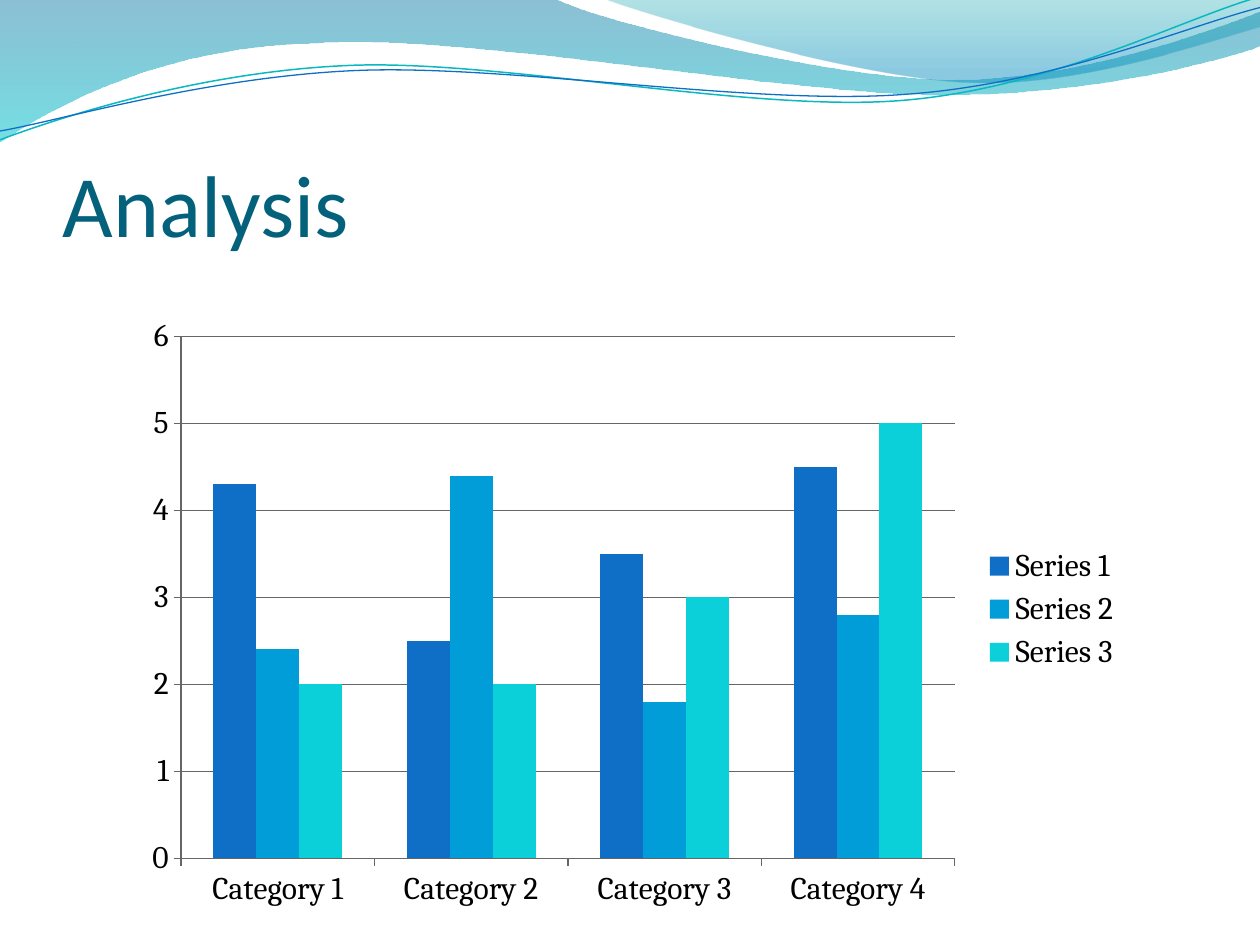
"""Build the Analysis slide: wave header, title and clustered column chart."""
from lxml import etree
from pptx import Presentation
from pptx.chart.data import CategoryChartData
from pptx.dml.color import RGBColor
from pptx.enum.chart import XL_CHART_TYPE, XL_LEGEND_POSITION, XL_TICK_MARK
from pptx.enum.text import MSO_ANCHOR
from pptx.oxml import parse_xml
from pptx.oxml.ns import nsdecls, qn
from pptx.util import Inches, Pt

COLUMN = XL_CHART_TYPE.COLUMN_CLUSTERED
RIGHT = XL_LEGEND_POSITION.RIGHT
OUTSIDE = XL_TICK_MARK.OUTSIDE
BOTTOM = MSO_ANCHOR.BOTTOM

TITLE = "Analysis"
CATS = [f"Category {n}" for n in range(1, 5)]
SERIES = [
    ("Series 1", (4.3, 2.5, 3.5, 4.5), "0F6FC6"),
    ("Series 2", (2.4, 4.4, 1.8, 2.8), "009DD9"),
    ("Series 3", (2, 2, 3, 5), "0BD0D9"),
]
PLOT = {"x": 0.064, "y": 0.094, "w": 0.76, "h": 0.777}

BANDS = [
    ([(0, 0), (4.4, -0.01), (4.76, 0.17, 6.64, 0.63, 7.58, 0.63),
      (8.53, 0.63, 9.58, 0.26, 10, 0.09), (10.01, 0.36),
      (9.83, 0.44, 8.7, 0.76, 7.46, 0.75), (6.22, 0.75, 3.82, 0.28, 2.57, 0.34),
      (1.29, 0.36, 0.46, 0.83, -0.01, 1.13), (0, 0)],
     [(0, "0074A1", 45), (1, "00C6CF", 55)]),
    ([(4.79, -0.01), (5.09, 0.11, 6.82, 0.62, 7.69, 0.65),
      (8.56, 0.69, 9.61, 0.32, 10, 0.21), (10, 0), (4.79, -0.01)],
     [(0, "00A1A9", 30), (0.8, "008BBF", 45)]),
]
LINES = [
    ([(0, 1.11), (0.48, 0.93, 1.58, 0.57, 2.77, 0.52),
      (3.95, 0.47, 5.93, 0.89, 7.13, 0.8), (8.33, 0.71, 9.38, 0.15, 9.98, -0.02)],
     "0AB8BF", 0.85),
    ([(0, 1.04), (0.47, 0.96, 1.64, 0.61, 2.83, 0.56),
      (4.03, 0.51, 5.97, 0.84, 7.17, 0.75), (8.36, 0.67, 9.41, 0.21, 10, 0.06)],
     "0F6FC6", 0.75),
]


def color(code):
    return RGBColor.from_string(code)


def add_wave(slide, wave, close):
    """Draw a wave whose parts are lines (two numbers) or curves (six)."""
    dots = [(Inches(part[i]), Inches(part[i + 1]))
            for part in wave for i in range(0, len(part), 2)]
    pen = slide.shapes.build_freeform(*dots[0], scale=1.0)
    pen.add_line_segments(dots[1:], close=close)
    shape = pen.convert_to_shape()
    shape.shadow.inherit = False
    legs = iter(shape.element.xpath(".//a:lnTo"))
    for part in wave[1:]:
        leg = next(legs)
        if len(part) == 6:
            curve = etree.Element(qn("a:cubicBezTo"))
            leg.addprevious(curve)
            for side in (leg, next(legs), next(legs)):
                curve.append(side[0])
                side.getparent().remove(side)
    return shape


def add_band(slide, wave, stops):
    shape = add_wave(slide, wave, True)
    shape.line.fill.background()
    shape.fill.gradient()
    shape.fill.gradient_angle = 270
    for stop, (place, code, _) in zip(shape.fill.gradient_stops, stops):
        stop.position = place
        stop.color.rgb = color(code)
    for node, (_, _, alpha) in zip(shape.element.xpath(".//a:gs/a:srgbClr"), stops):
        etree.SubElement(node, qn("a:alpha"), val=str(alpha * 1000))


def add_line(slide, wave, code, width):
    shape = add_wave(slide, wave, False)
    shape.fill.background()
    shape.line.color.rgb = color(code)
    shape.line.width = Pt(width)


def add_text(slide, text, box, size, font, code):
    frame = slide.shapes.add_textbox(*map(Inches, box)).text_frame
    frame.word_wrap = True
    frame.vertical_anchor = BOTTOM
    frame.margin_left = frame.margin_right = frame.margin_bottom = 0
    frame.margin_top = Inches(0.05)
    run = frame.paragraphs[0].add_run()
    run.text = text
    run.font.size = Pt(size)
    run.font.name = font
    run.font.color.rgb = color(code)


def place_plot(chart):
    area = chart.element.find(".//" + qn("c:plotArea"))
    for old in area.findall(qn("c:layout")):
        area.remove(old)
    parts = '<c:layoutTarget val="inner"/>'
    parts += "".join(f'<c:{key}Mode val="edge"/>' for key in "xy")
    parts += "".join(f'<c:{key} val="{val}"/>' for key, val in PLOT.items())
    area.insert(0, parse_xml(f'<c:layout {nsdecls("c")}><c:manualLayout>{parts}'
                             '</c:manualLayout></c:layout>'))


def add_chart(slide, box):
    data = CategoryChartData()
    data.categories = CATS
    for name, vals, _ in SERIES:
        data.add_series(name, vals)
    chart = slide.shapes.add_chart(COLUMN, *map(Inches, box), data).chart
    chart.has_title = False
    chart.font.size = Pt(18)
    chart.font.name = "Cambria"
    chart.font.color.rgb = color("000000")
    chart.has_legend = True
    chart.legend.position = RIGHT
    chart.legend.include_in_layout = False
    plot = chart.plots[0]
    plot.vary_by_categories = False
    plot.gap_width = 150
    plot.overlap = 0
    for bars, (_, _, code) in zip(plot.series, SERIES):
        bars.format.fill.solid()
        bars.format.fill.fore_color.rgb = color(code)
    val_axis = chart.value_axis
    val_axis.has_major_gridlines = True
    for axis in (chart.category_axis, val_axis):
        axis.major_tick_mark = OUTSIDE
    for part in (chart.category_axis, val_axis, val_axis.major_gridlines):
        part.format.line.color.rgb = color("666666")
        part.format.line.width = Pt(0.75)
    place_plot(chart)


def main():
    deck = Presentation()
    deck.slide_width, deck.slide_height = Inches(10), Inches(7.5)
    slide = deck.slides.add_slide(deck.slide_layouts[6])
    for band in BANDS:
        add_band(slide, *band)
    for line in LINES:
        add_line(slide, *line)
    add_text(slide, TITLE, (0.5, 0.77, 9, 1.25), size=50, font="Calibri", code="04617B")
    add_chart(slide, (0.92, 2.17, 8.08, 5.33))
    deck.save("out.pptx")


if __name__ == "__main__":
    main()
